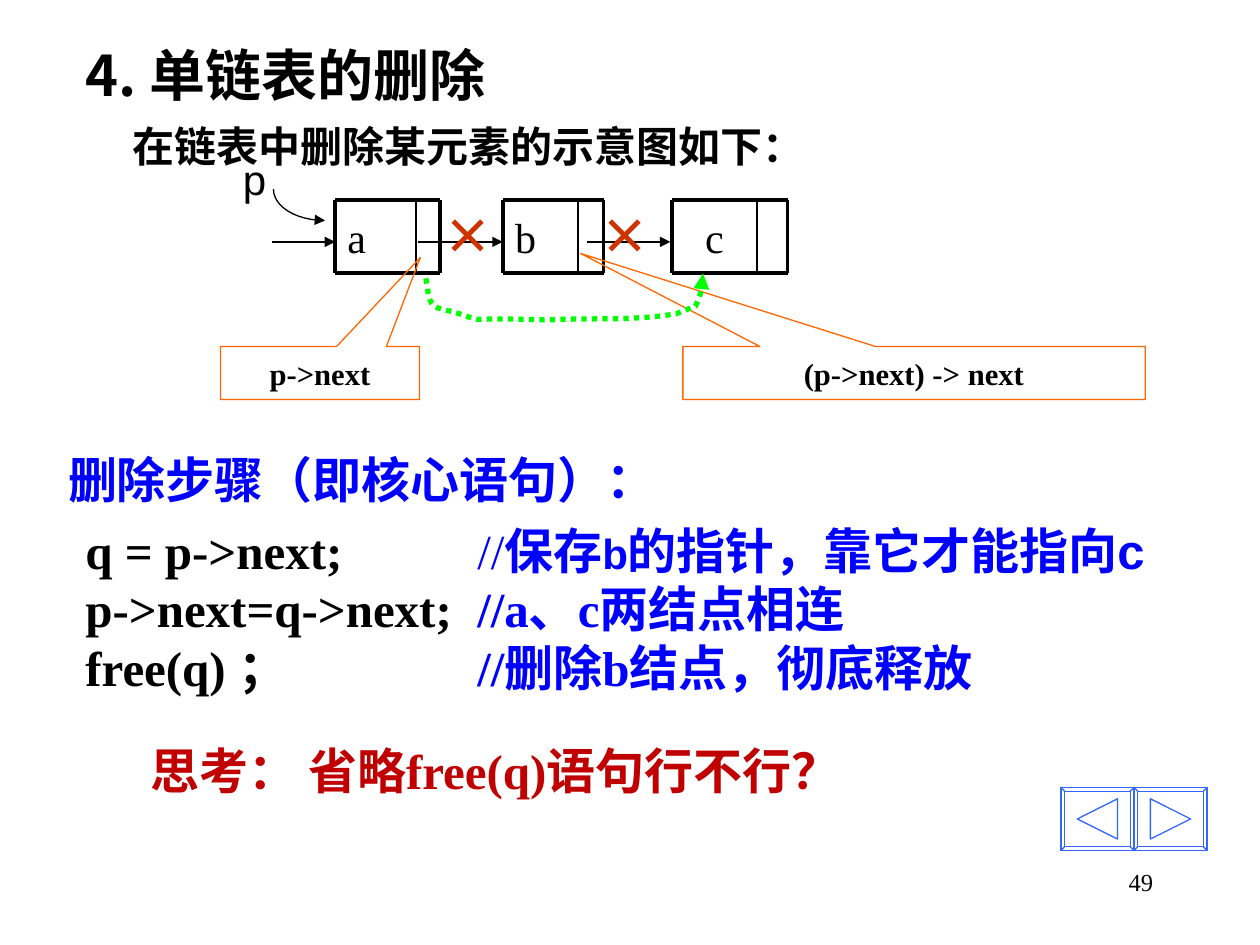
from lxml import etree
from pptx import Presentation
from pptx.dml.color import RGBColor
from pptx.enum.dml import MSO_LINE
from pptx.enum.shapes import MSO_CONNECTOR, MSO_SHAPE
from pptx.enum.text import MSO_ANCHOR, PP_ALIGN
from pptx.oxml.ns import qn
from pptx.util import Inches, Pt

STRAIGHT = MSO_CONNECTOR.STRAIGHT
CALLOUT = MSO_SHAPE.RECTANGULAR_CALLOUT
DOTTED = MSO_LINE.ROUND_DOT
LEFT, CENTER, RIGHT = PP_ALIGN.LEFT, PP_ALIGN.CENTER, PP_ALIGN.RIGHT
TOP, MIDDLE = MSO_ANCHOR.TOP, MSO_ANCHOR.MIDDLE

COLORS = {"black": "000000", "blue": "0000FF", "red": "C00000", "cross": "CC3300",
          "callout": "FF6600", "button": "3366FF", "link": "00FF00"}
SANS, SERIF, LATIN_SANS = "Noto Sans CJK SC", "Times New Roman", "Arial"
LINE_HEIGHT = 1.2

BLUE = {"color": "blue"}
CODE = [
    [("q = p->next;\t", {}), ("//", {"color": "blue", "bold": False}),
     ("保存", {"color": "blue", "font": SANS}),
     ("b", {"color": "blue", "font": LATIN_SANS, "size": 24}),
     ("的指针，靠它才能指向c", {"color": "blue", "font": LATIN_SANS})],
    [("p->next=q->next;\t", {}), ("//a、c两结点相连", BLUE)],
    [("free(q) ；\t", {}), ("//删除b结点，彻底释放", BLUE)],
]
QUESTION = [[("思考： 省略", {}), ("free(q)语句", {"font": SERIF}), ("行不行？", {})]]

NODES = [("a", 2.66, 0.83, 0.64, LEFT), ("b", 3.99, 0.80, 0.60, LEFT),
         ("c", 5.33, 0.92, 0.68, CENTER)]
NODE_TOP, NODE_BOTTOM, ARROW_Y = 1.59, 2.17, 1.92
ARROWS = [(2.16, 2.66), (3.32, 3.99), (4.66, 5.32)]
CROSSES = [3.42, 4.67]
CALLOUTS = [("p->next", 1.75, 1.58, (0.504, -2.183)),
            ("(p->next) -> next", 5.42, 3.67, (-0.721, -2.258))]
POINTER_CURVE = [(2.17, 1.5), (2.17, 1.64), (2.35, 1.75), (2.58, 1.75)]
LINK_CURVE = [(3.38, 2.21), (3.4, 2.28), (3.39, 2.39), (3.45, 2.43),
              (3.47, 2.45), (3.57, 2.47), (3.58, 2.47),
              (3.94, 2.58), (3.56, 2.51), (4.34, 2.54),
              (4.68, 2.52), (5.03, 2.55), (5.37, 2.49),
              (5.42, 2.47), (5.52, 2.43), (5.52, 2.43),
              (5.56, 2.35), (5.58, 2.27), (5.58, 2.17)]
BUTTONS = [(8.42, -1), (9.0, 1)]
BUTTON_TOP, BUTTON_WIDTH, BUTTON_HEIGHT, BEVEL = 6.25, 0.58, 0.5, 0.03

presentation = Presentation()
presentation.slide_width, presentation.slide_height = Inches(10), Inches(7.5)
slide = presentation.slides.add_slide(presentation.slide_layouts[6])
shapes = slide.shapes


def rgb(name):
    return RGBColor.from_string(COLORS[name])


def write_text(shape, text, size=28, font=SANS, color="black", bold=False, align=LEFT,
               anchor=TOP, wrap=True, exact=False, tab=None, top_inset=0.05):
    frame = shape.text_frame
    frame.word_wrap = wrap
    frame.vertical_anchor = anchor
    frame.margin_left = frame.margin_right = Inches(0.1)
    frame.margin_top, frame.margin_bottom = Inches(top_inset), Inches(0.05)
    lines = [[(text, {})]] if isinstance(text, str) else text
    for index, line in enumerate(lines):
        paragraph = frame.add_paragraph() if index else frame.paragraphs[0]
        paragraph.alignment = align
        if exact:
            paragraph.line_spacing = Pt(size * LINE_HEIGHT)
        if tab:
            tabs = etree.SubElement(paragraph._p.get_or_add_pPr(), qn("a:tabLst"))
            etree.SubElement(tabs, qn("a:tab"), pos=str(Inches(tab)), algn="l")
        for words, style in line:
            run = paragraph.add_run()
            run.text = words
            run.font.size = Pt(style.get("size", size))
            run.font.bold = style.get("bold", bold)
            run.font.color.rgb = rgb(style.get("color", color))
            run.font.name = style.get("font", font)
            etree.SubElement(run._r.get_or_add_rPr(), qn("a:ea"), typeface=SANS)


def add_text(text, left, top, width, height, **style):
    box = shapes.add_textbox(Inches(left), Inches(top), Inches(width), Inches(height))
    write_text(box, text, **style)


def set_line(shape, color, width, arrow=False):
    shape.line.color.rgb = rgb(color)
    shape.line.width = Pt(width)
    if arrow:
        etree.SubElement(shape.line._get_or_add_ln(), qn("a:tailEnd"), type="triangle")


def add_line(x1, y1, x2, y2, weight, arrow=False):
    line = shapes.add_connector(STRAIGHT, Inches(x1), Inches(y1), Inches(x2), Inches(y2))
    set_line(line, "black", weight, arrow)
    etree.SubElement(line._element.spPr, qn("a:effectLst"))


def add_freeform(contours, color, weight, closed=False, arrow=False, dash=None):
    contours = [[(Inches(x), Inches(y)) for x, y in points] for points in contours]
    builder = shapes.build_freeform(*contours[0][0])
    for index, points in enumerate(contours):
        if index:
            builder.move_to(*points[0])
        builder.add_line_segments(points[1:], close=closed)
    shape = builder.convert_to_shape()
    shape.shadow.inherit = False
    shape.fill.background()
    if dash:
        shape.line.dash_style = dash
    set_line(shape, color, weight, arrow)


def bezier_points(controls, steps=12):
    points = [controls[0]]
    for start in range(0, len(controls) - 1, 3):
        segment = controls[start:start + 4]
        for step in range(1, steps + 1):
            t = step / steps
            weights = ((1 - t) ** 3, 3 * t * (1 - t) ** 2, 3 * t * t * (1 - t), t ** 3)
            points.append(tuple(sum(w * p[axis] for w, p in zip(weights, segment))
                                for axis in (0, 1)))
    return points


def rectangle_points(left, top, right, bottom):
    return [(left, top), (right, top), (right, bottom), (left, bottom)]


def add_button(left, direction):
    right, bottom = left + BUTTON_WIDTH, BUTTON_TOP + BUTTON_HEIGHT
    outer = rectangle_points(left, BUTTON_TOP, right, bottom)
    inner = rectangle_points(left + BEVEL, BUTTON_TOP + BEVEL, right - BEVEL, bottom - BEVEL)
    center_x, center_y = left + BUTTON_WIDTH / 2, BUTTON_TOP + BUTTON_HEIGHT / 2
    base, tip = center_x - 0.16 * direction, center_x + 0.16 * direction
    triangle = [(base, center_y - 0.16), (tip, center_y), (base, center_y + 0.16)]
    corners = [list(pair) for pair in zip(outer, inner)]
    add_freeform([outer, inner, triangle, *corners], "button", 0.75, closed=True)


def add_node(name, left, width, divider, align):
    add_text(name, left, NODE_TOP, divider, NODE_BOTTOM - NODE_TOP, size=24, font=SERIF,
             align=align, top_inset=0.09)
    for y in (NODE_TOP, NODE_BOTTOM):
        add_line(left, y, left + width, y, 2.25)
    for offset, weight in ((0, 2.25), (divider, 1), (width, 2.25)):
        add_line(left + offset, NODE_TOP, left + offset, NODE_BOTTOM, weight)


add_text("49", 7.17, 6.83, 2.08, 0.5, size=14, font=SERIF, align=RIGHT)
add_text("4. 单链表的删除", 0.58, 0.27, 4, 0.6, size=32, bold=True, exact=True)
add_text("在链表中删除某元素的示意图如下：", 0.95, 0.91, 5.53, 0.5, size=24, bold=True,
         align=CENTER, wrap=False, exact=True)

for node in NODES:
    add_node(*node)
for start, end in ARROWS:
    add_line(start, ARROW_Y, end, ARROW_Y, 0.75, arrow=True)
add_text("p", 1.83, 1.17, 0.39, 0.5, size=24, font=LATIN_SANS)
add_freeform([bezier_points(POINTER_CURVE)], "black", 0.75, arrow=True)

add_text("删除步骤（即核心语句）：", 0.44, 3.52, 4.86, 0.57, color="blue", bold=True,
         align=CENTER, wrap=False, exact=True)
add_text(CODE, 0.58, 4.08, 9.2, 1.5, font=SERIF, bold=True, exact=True, tab=3.11)
add_text(QUESTION, 0.75, 5.83, 6.36, 0.57, color="red", bold=True, align=CENTER, exact=True)

for label, left, width, pointer in CALLOUTS:
    callout = shapes.add_shape(CALLOUT, Inches(left), Inches(2.75), Inches(width), Inches(0.42))
    callout.shadow.inherit = False
    callout.fill.background()
    set_line(callout, "callout", 0.75)
    callout.adjustments[0], callout.adjustments[1] = pointer
    write_text(callout, label, size=17.5, font=SERIF, bold=True, align=CENTER, anchor=MIDDLE)
add_freeform([bezier_points(LINK_CURVE)], "link", 3, arrow=True, dash=DOTTED)
for left, direction in BUTTONS:
    add_button(left, direction)
for left in CROSSES:
    add_text("×", left, 1.58, 0.5, 0.57, color="cross", bold=True, exact=True)

presentation.save("out.pptx")
